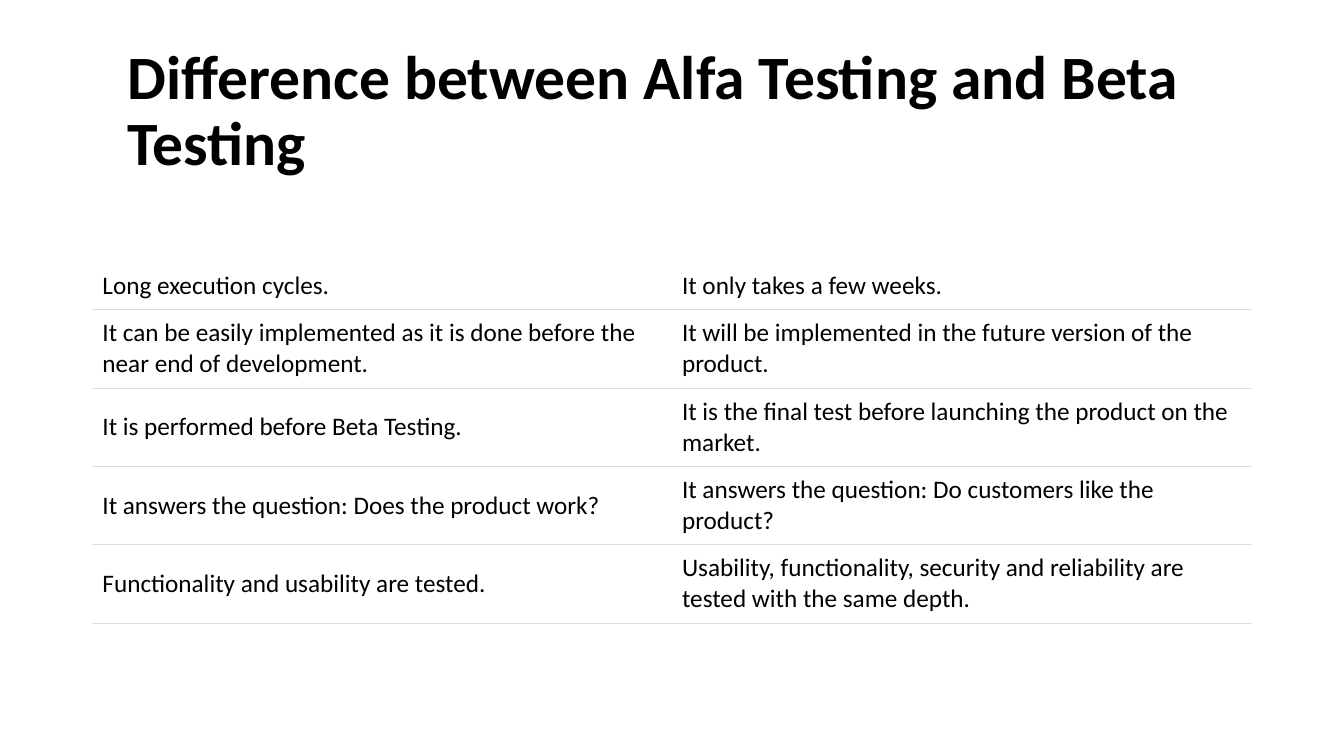
from lxml import etree
from pptx import Presentation
from pptx.dml.color import RGBColor
from pptx.enum.text import MSO_ANCHOR
from pptx.oxml.ns import qn
from pptx.util import Inches, Pt

MIDDLE = MSO_ANCHOR.MIDDLE
COLS, ROWS = 160, 90

TITLE = "Difference between Alfa Testing and Beta Testing"
COMPARISON = [
    ("Long execution cycles.",
     "It only takes a few weeks."),
    ("It can be easily implemented as it is done before the near end of development.",
     "It will be implemented in the future version of the product."),
    ("It is performed before Beta Testing.",
     "It is the final test before launching the product on the market."),
    ("It answers the question: Does the product work?",
     "It answers the question: Do customers like the product?"),
    ("Functionality and usability are tested.",
     "Usability, functionality, security and reliability are tested with the same depth."),
]


def rgb(value):
    return RGBColor.from_string(value)


def write(tf, text, size, font, color, bold=False, spacing=1.0):
    p = tf.paragraphs[0]
    p.line_spacing = spacing
    r = p.add_run()
    r.text = text
    r.font.size = Pt(size)
    r.font.name = font
    r.font.bold = bold
    r.font.color.rgb = rgb(color)


def border(cell, side, color=None, width=0.5):
    ln = etree.SubElement(cell._tc.get_or_add_tcPr(), qn("a:ln" + side), w=str(Pt(width)))
    if color is None:
        etree.SubElement(ln, qn("a:noFill"))
    else:
        fill = etree.SubElement(ln, qn("a:solidFill"))
        etree.SubElement(fill, qn("a:srgbClr"), val=color)


class Deck:
    font = "Calibri"
    ink = "000000"
    paper = "FFFFFF"
    rule = "DDDDDD"

    def __init__(self, width, height):
        self.prs = Presentation()
        self.prs.slide_width = Inches(width)
        self.prs.slide_height = Inches(height)
        self.s = self.prs.slides.add_slide(self.prs.slide_layouts[6])
        self.s.background.fill.solid()
        self.s.background.fill.fore_color.rgb = rgb(self.paper)

    def x(self, cols):
        return round(self.prs.slide_width * cols / COLS)

    def y(self, rows):
        return round(self.prs.slide_height * rows / ROWS)

    def title(self, text, left, top, width, height):
        sp = self.s.shapes.add_textbox(self.x(left), self.y(top), self.x(width), self.y(height))
        tf = sp.text_frame
        tf.word_wrap = True
        tf.vertical_anchor = MIDDLE
        write(tf, text, 44, self.font, self.ink, bold=True, spacing=0.9)

    def table(self, data, left, top, width, heights):
        sp = self.s.shapes.add_table(len(data), len(data[0]), self.x(left), self.y(top),
                                     self.x(width), self.y(sum(heights)))
        table = sp.table
        table.first_row = table.horz_banding = False
        for row, height in zip(table.rows, heights):
            row.height = self.y(height)
        for i, texts in enumerate(data):
            for j, text in enumerate(texts):
                self.cell(table.cell(i, j), text, self.rule if i else None)

    def cell(self, cell, text, top_rule):
        cell.margin_left = cell.margin_right = Inches(0.1)
        cell.margin_top = cell.margin_bottom = Inches(0.08)
        cell.vertical_anchor = MIDDLE
        for side, color in (("L", None), ("R", None), ("T", top_rule), ("B", self.rule)):
            border(cell, side, color)
        cell.fill.solid()
        cell.fill.fore_color.rgb = rgb(self.paper)
        write(cell.text_frame, text, 18, self.font, self.ink)


def main():
    deck = Deck(13.33, 7.5)
    deck.title(TITLE, 14, 4.7, 138, 17.4)
    deck.table(COMPARISON, 11, 31.3, 138, [5.55] + [9.33] * 4)
    deck.prs.save("out.pptx")


if __name__ == "__main__":
    main()
